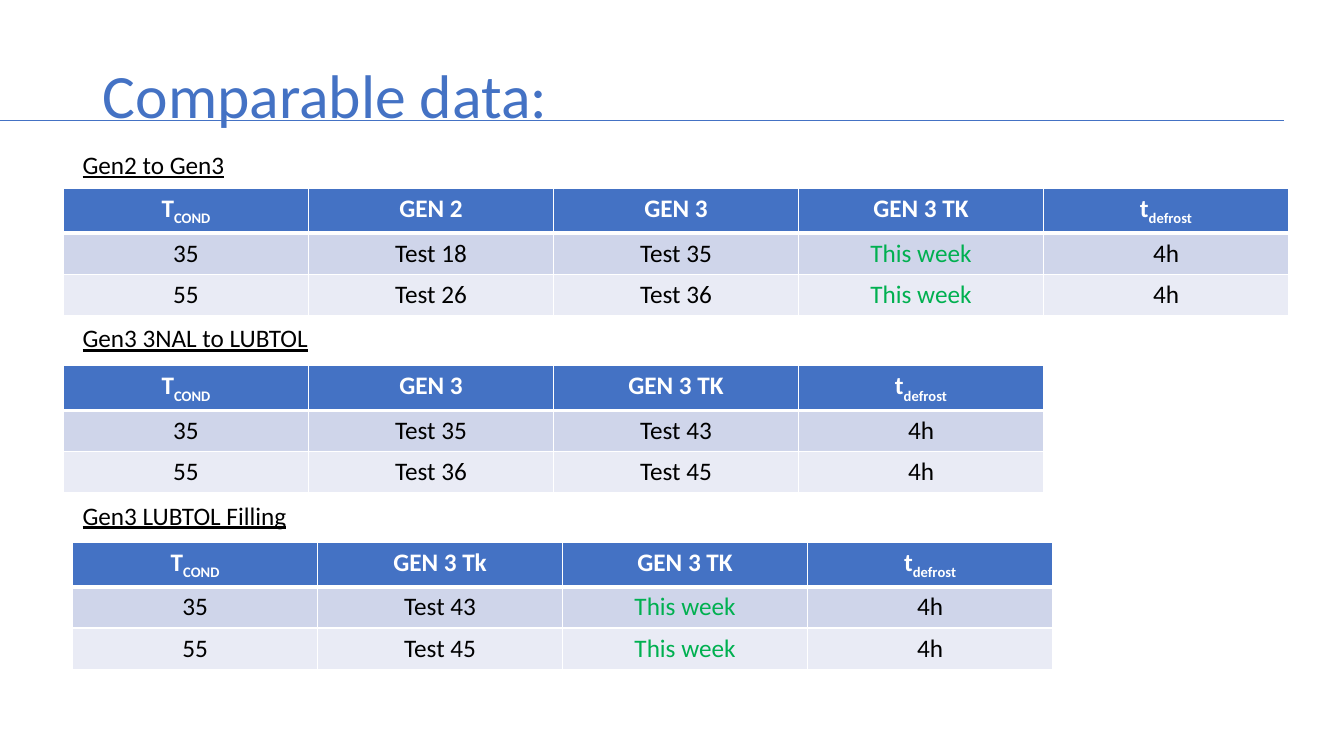
"""Build the slide of comparable test data as three captioned tables."""
import pptx
import pptx.dml.color
import pptx.enum.shapes
import pptx.enum.text
import pptx.oxml
import pptx.oxml.ns
import pptx.util
from pptx.util import Inches

TITLE = "Comparable data:"
COMPARISONS = [
    {"caption": "Gen2 to Gen3", "caption_at": (0.72, 1.43, 4.18, 0.4), "table_at": (0.63, 1.87),
     "rows": [("T_COND", "GEN 2", "GEN 3", "GEN 3 TK", "t_defrost"),
              ("35", "Test 18", "Test 35", "This week", "4h"),
              ("55", "Test 26", "Test 36", "This week", "4h")]},
    {"caption": "Gen3 3NAL to LUBTOL", "caption_at": (0.72, 3.15, 5.81, 0.4), "table_at": (0.63, 3.63),
     "rows": [("T_COND", "GEN 3", "GEN 3 TK", "t_defrost"),
              ("35", "Test 35", "Test 43", "4h"),
              ("55", "Test 36", "Test 45", "4h")]},
    {"caption": "Gen3 LUBTOL Filling", "caption_at": (0.72, 4.91, 5.81, 0.4), "table_at": (0.72, 5.38),
     "rows": [("T_COND", "GEN 3 Tk", "GEN 3 TK", "t_defrost"),
              ("35", "Test 43", "This week", "4h"),
              ("55", "Test 45", "This week", "4h")]},
]
COLUMN_WIDTH, ROW_HEIGHT = 2.43, 0.41
BLUE, WHITE, BLACK, GREEN = "4472C4", "FFFFFF", "000000", "00B050"
ROW_FILLS = (BLUE, "CFD5EA", "E9EBF5")
BODY = {"name": "Calibri", "size": pptx.util.Pt(18), "bold": False}
CAPTION = {**BODY, "underline": True}
HEADER = {**BODY, "bold": True}
HEADING = {"name": "Calibri", "size": pptx.util.Pt(44)}


def rgb(color):
    return pptx.dml.color.RGBColor.from_string(color)


def write(paragraph, text, style, color):
    for position, part in enumerate(text.split("_")):
        run = paragraph.add_run()
        run.text = part
        for key, value in style.items():
            setattr(run.font, key, value)
        run.font.color.rgb = rgb(color)
        if position:
            run._r.get_or_add_rPr().set("baseline", "-25000")


def add_borders(cell, widths):
    for side, points in widths.items():
        cell._tc.get_or_add_tcPr().append(pptx.oxml.parse_xml(
            f'<a:{side} {pptx.oxml.ns.nsdecls("a")} w="{pptx.util.Pt(points)}">'
            f'<a:solidFill><a:srgbClr val="{WHITE}"/></a:solidFill></a:{side}>'))


def add_caption(slide, text, box):
    frame = slide.shapes.add_textbox(*map(Inches, box)).text_frame
    frame.word_wrap = True
    write(frame.paragraphs[0], text, CAPTION, BLACK)


def add_comparison(slide, rows, corner):
    size = (len(rows[0]) * COLUMN_WIDTH, len(rows) * ROW_HEIGHT)
    grid = slide.shapes.add_table(len(rows), len(rows[0]), *map(Inches, corner + size)).table
    for r, row in enumerate(rows):
        for c, text in enumerate(row):
            cell = grid.cell(r, c)
            top, bottom = (3 if r == 1 else 1), (3 if r == 0 else 1)
            add_borders(cell, {"lnL": 1, "lnR": 1, "lnT": top, "lnB": bottom})
            cell.fill.solid()
            cell.fill.fore_color.rgb = rgb(ROW_FILLS[r])
            paragraph = cell.text_frame.paragraphs[0]
            paragraph.alignment = pptx.enum.text.PP_ALIGN.CENTER
            color = WHITE if r == 0 else GREEN if text == "This week" else BLACK
            write(paragraph, text, BODY if r else HEADER, color)


def main():
    deck = pptx.Presentation()
    deck.slide_width, deck.slide_height = Inches(13.33), Inches(7.5)
    slide = deck.slides.add_slide(deck.slide_layouts[5])

    rule = slide.shapes.add_connector(pptx.enum.shapes.MSO_CONNECTOR.STRAIGHT,
                                      0, Inches(1.2), Inches(12.74), Inches(1.2))
    rule.line.color.rgb = rgb(BLUE)
    rule.line.width = pptx.util.Pt(0.75)
    rule._element.spPr.append(pptx.oxml.parse_xml(f'<a:effectLst {pptx.oxml.ns.nsdecls("a")}/>'))

    title = slide.shapes.title
    title.left, title.top, title.width, title.height = map(Inches, (0.92, 0.1, 11.5, 1.75))
    title.text_frame.vertical_anchor = pptx.enum.text.MSO_ANCHOR.MIDDLE
    heading = title.text_frame.paragraphs[0]
    heading.alignment = pptx.enum.text.PP_ALIGN.LEFT
    heading.line_spacing = 0.9
    write(heading, TITLE, HEADING, BLUE)

    for comparison in COMPARISONS:
        add_caption(slide, comparison["caption"], comparison["caption_at"])
        add_comparison(slide, comparison["rows"], comparison["table_at"])
    deck.save("out.pptx")


if __name__ == "__main__":
    main()
